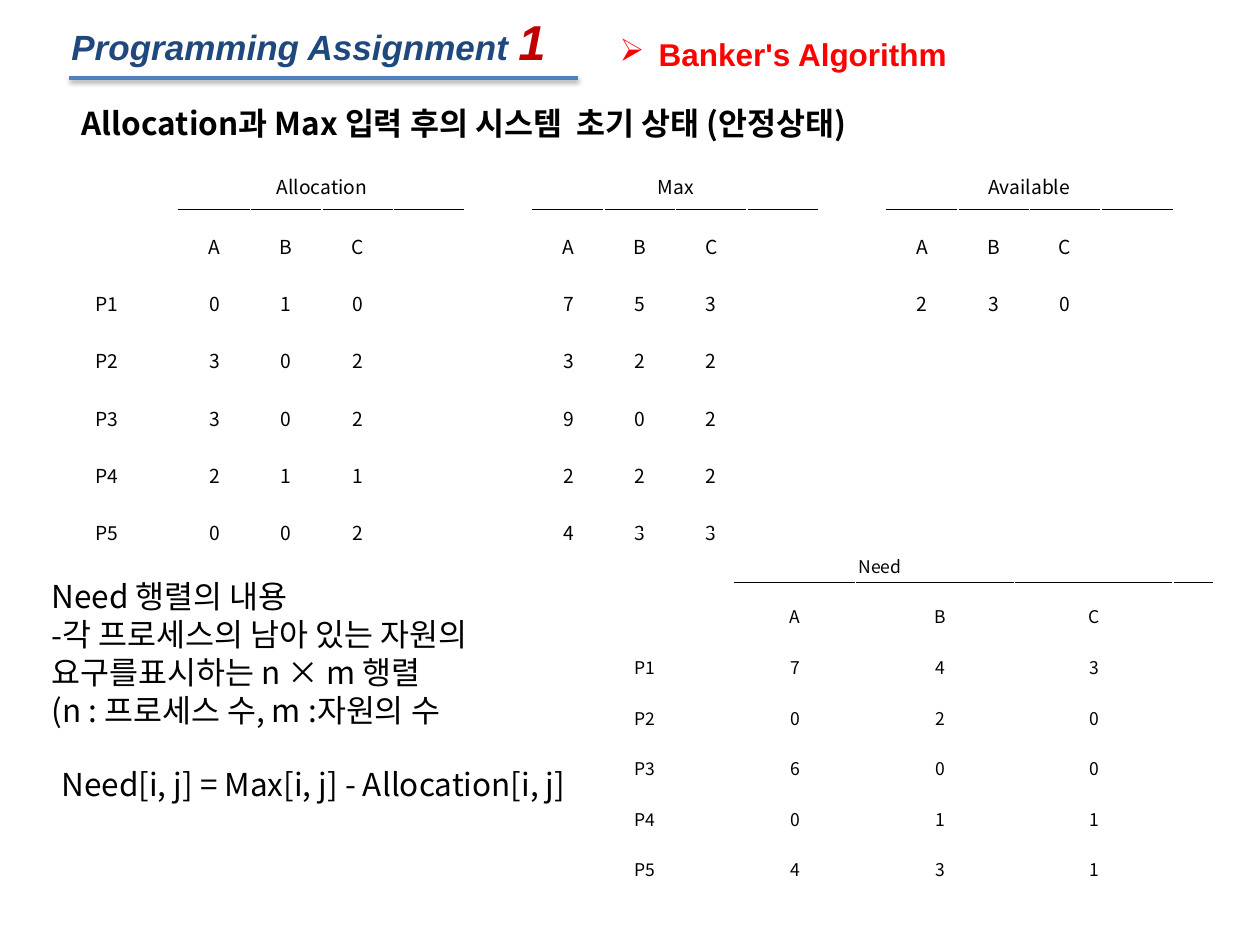
import pptx
import pptx.util
import pptx.dml.color
import pptx.enum.shapes
import pptx.enum.text
import pptx.oxml
import pptx.oxml.ns
from lxml import etree

Cm, Pt = pptx.util.Cm, pptx.util.Pt
ALIGN, ANCHOR = pptx.enum.text.PP_ALIGN, pptx.enum.text.MSO_ANCHOR
qn = pptx.oxml.ns.qn
NS = 'xmlns:a="http://schemas.openxmlformats.org/drawingml/2006/main"'

# Content
HUE = {"ink": "000000", "navy": "1F497D", "red": "C00000",
       "alert": "FF0000", "rule": "4F81BD", "paper": "FFFFFF"}
SANS, KOR = "Arial", "Noto Sans CJK KR"
KINDS = ["A", "B", "C"]
PROCS = ["P1", "P2", "P3", "P4", "P5"]
ALLOC = [(0, 1, 0), (3, 0, 2), (3, 0, 2), (2, 1, 1), (0, 0, 2)]
MAX = [(7, 5, 3), (3, 2, 2), (9, 0, 2), (2, 2, 2), (4, 3, 3)]
AVAIL = [(2, 3, 0)]
NEED = [(7, 4, 3), (0, 2, 0), (6, 0, 0), (0, 1, 1), (4, 3, 1)]
STATE = "Allocation과 Max 입력 후의 시스템  초기 상태 (안정상태)"
RULE = "Need[i, j] = Max[i, j] - Allocation[i, j]"
NOTES = [("", "Need 행렬의 내용"),
         ("-", "각 프로세스의 남아 있는 자원의"),
         ("", "요구를표시하는 n × m 행렬"),
         ("", "(n : 프로세스 수, m :자원의 수")]

BLOCK = [1.44] * 4
GAP = [1.37]
GRIDS = [
    {"at": (1.4, 2.97), "size": 11, "rows": [1.24] + [1.05] * 6,
     "cols": [1.5, 0.71] + BLOCK + GAP + BLOCK + GAP + BLOCK,
     "parts": [("Allocation", ALLOC), ("Max", MAX), ("Available", AVAIL)]},
    {"at": (11.91, 10.72), "size": 10, "rows": [1.02] * 7,
     "cols": [2.16, 0.74, 2.44, 3.2, 3.2, 0.79],
     "parts": [("Need", NEED)], "head": 2.5, "shift": 0.46},
]


def tint(hue):
    return pptx.dml.color.RGBColor.from_string(HUE[hue])


def add_run(par, text, size, face=KOR, hue="ink", bold=False, slant=False):
    run = par.add_run()
    run.text = text
    font = run.font
    font.size, font.name = Pt(size), face
    font.bold, font.italic = bold, slant
    font.color.rgb = tint(hue)
    east = etree.SubElement(run._r.get_or_add_rPr(), qn("a:ea"))
    east.set("typeface", face)


def add_mark(par, char, hang=0):
    props = par._p.get_or_add_pPr()
    props.set("marL", str(Cm(hang)))
    props.set("indent", str(-Cm(hang)))
    face = '<a:buFont %s typeface="%s"/>' % (NS, "Wingdings" if hang else KOR)
    if not hang:
        props.append(pptx.oxml.parse_xml(face))
    props.append(pptx.oxml.parse_xml('<a:buChar %s char="%s"/>' % (NS, char)))


def add_text(slide, box, wrap=True, anchor=ANCHOR.MIDDLE):
    frame = slide.shapes.add_textbox(*map(Cm, box)).text_frame
    frame.word_wrap, frame.vertical_anchor = wrap, anchor
    return frame


def add_panel(shapes, box):
    kind = pptx.enum.shapes.MSO_SHAPE.RECTANGLE
    panel = shapes.add_shape(kind, *map(Cm, box))
    panel.shadow.inherit = False
    panel.fill.solid()
    panel.fill.fore_color.rgb = tint("paper")
    panel.line.fill.background()
    frame = panel.text_frame
    frame.word_wrap, frame.vertical_anchor = True, ANCHOR.TOP
    par = frame.paragraphs[0]
    par.alignment = ALIGN.LEFT
    return par


def add_edge(cell, side):
    edge = pptx.oxml.parse_xml(
        '<a:%s %s w="3556"><a:solidFill><a:srgbClr val="%s"/></a:solidFill>'
        '</a:%s>' % (side, NS, HUE["ink"], side))
    cell._tc.get_or_add_tcPr().insert(0, edge)


def add_grid(slide, grid):
    rows, cols, size = grid["rows"], grid["cols"], grid["size"]
    spot = (*grid["at"], sum(cols), sum(rows))
    table = slide.shapes.add_table(len(rows), len(cols), *map(Cm, spot)).table
    table.first_row = table.horz_banding = False
    for col, wide in zip(table.columns, cols):
        col.width = Cm(wide)
    for row, high in zip(table.rows, rows):
        row.height = Cm(high)

    # Words by row and column; each part takes four columns and a gap
    words = {(i + 2, 0): name for i, name in enumerate(PROCS)}
    starts = [2 + 5 * n for n in range(len(grid["parts"]))]
    for left, (title, data) in zip(starts, grid["parts"]):
        words[0, left] = title
        for i, line in enumerate([KINDS] + data):
            for j, item in enumerate(line):
                words[i + 1, left + j] = str(item)

    for i in range(len(rows)):
        for j in range(len(cols)):
            cell = table.cell(i, j)
            cell.fill.background()
            cell.vertical_anchor = ANCHOR.MIDDLE
            par = cell.text_frame.paragraphs[0]
            par.alignment, par.line_spacing = ALIGN.CENTER, 1.6
            if (i, j) in words:
                add_run(par, words[i, j], size)
            else:
                end = etree.SubElement(par._p, qn("a:endParaRPr"))
                end.set("sz", str(size * 100))
            if i and j == 3 and "shift" in grid:
                cell.margin_left = Cm(grid["shift"])

    # Titles span their part, with a rule below
    for left in starts:
        for j in range(left, left + 4):
            add_edge(table.cell(0, j), "lnB")
            add_edge(table.cell(1, j), "lnT")
        head = table.cell(0, left)
        head.merge(table.cell(0, left + 3))
        if "head" in grid:
            head.margin_left = Cm(grid["head"])
            head.text_frame.paragraphs[0].alignment = ALIGN.LEFT
    for j in (0, 1):
        table.cell(0, j).merge(table.cell(1, j))


def add_title(slide):
    shapes = slide.shapes.add_group_shape().shapes
    par = add_panel(shapes, (1.19, 0.1, 11.25, 1.45))
    add_run(par, "Programming Assignment ", 20, SANS, "navy", True, True)
    add_run(par, "1", 28, SANS, "red", True, True)
    kind = pptx.enum.shapes.MSO_CONNECTOR.STRAIGHT
    line = shapes.add_connector(kind, *map(Cm, (1.4, 1.57, 11.66, 1.57)))
    line.line.color.rgb, line.line.width = tint("rule"), Pt(2)
    line._element.spPr.append(pptx.oxml.parse_xml(
        '<a:effectLst %s><a:outerShdw blurRad="39370" dist="20320" '
        'dir="5400000" rotWithShape="0"><a:srgbClr val="%s">'
        '<a:alpha val="38000"/></a:srgbClr></a:outerShdw></a:effectLst>'
        % (NS, HUE["ink"])))


def main():
    deck = pptx.Presentation()
    deck.slide_width, deck.slide_height = Cm(25.4), Cm(19.05)
    slide = deck.slides.add_slide(deck.slide_layouts[6])

    # State tables and texts
    add_grid(slide, GRIDS[0])
    frame = add_text(slide, (1.4, 1.96, 18.06, 1.02))
    add_run(frame.paragraphs[0], STATE, 18, bold=True)
    frame = add_text(slide, (0.99, 15.29, 11.02, 1.02), False)
    add_run(frame.paragraphs[0], RULE, 18)
    frame = add_text(slide, (0.79, 11.51, 10.01, 4.11), False, ANCHOR.TOP)
    for i, (mark, text) in enumerate(NOTES):
        par = frame.add_paragraph() if i else frame.paragraphs[0]
        if mark:
            add_mark(par, mark)
        add_run(par, text, 18)
    add_grid(slide, GRIDS[1])

    # Heading and topic
    add_title(slide)
    par = add_panel(slide.shapes, (12.24, 0.2, 7.67, 1.27))
    par.line_spacing = 1.5
    par.space_before = par.space_after = Pt(6)
    add_mark(par, "➢", 0.79)
    add_run(par, "Banker's Algorithm", 18, SANS, "alert", True)
    deck.save("out.pptx")


if __name__ == "__main__":
    main()
